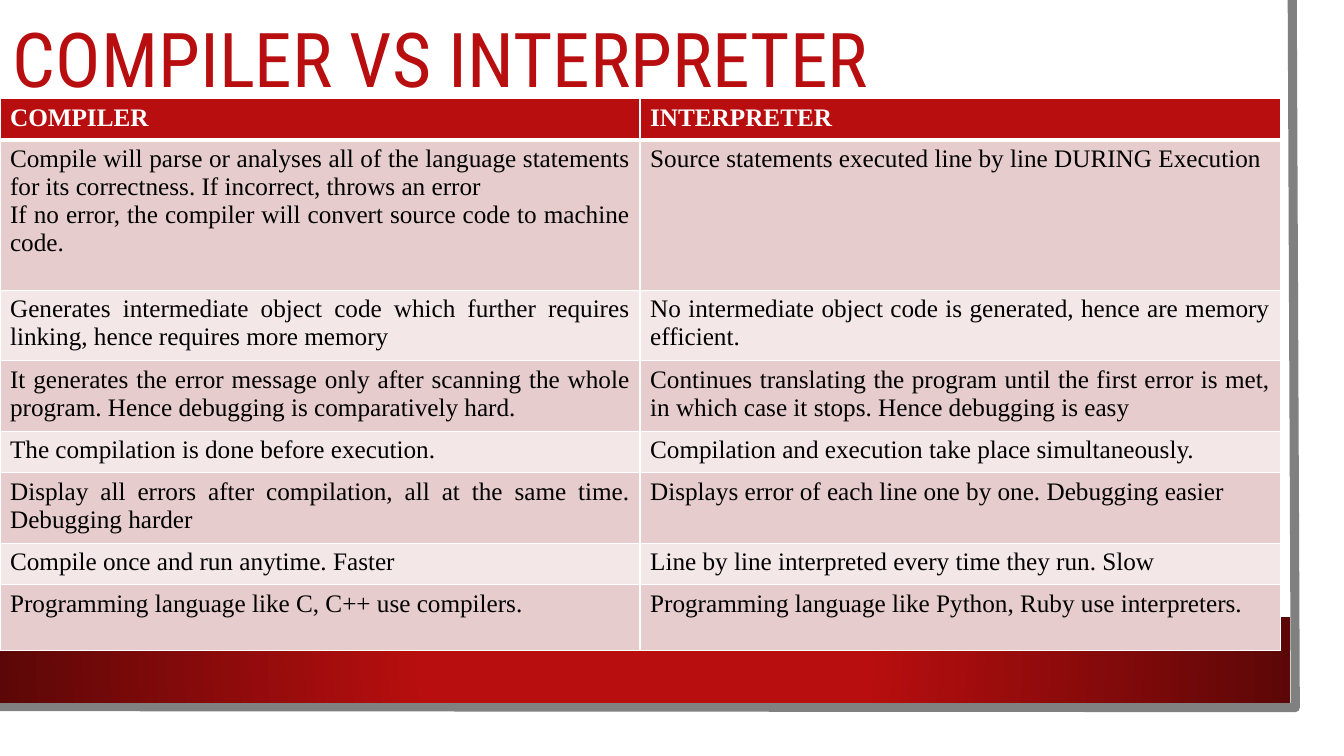
from lxml import etree
from pptx import Presentation, util as u
from pptx.dml.color import RGBColor
from pptx.enum import shapes, text
from pptx.oxml import ns, parse_xml

RED, DARK, GREY, WHITE, BLACK = "B80E0F", "5C0707", "808080", "FFFFFF", "000000"
BANDS = ["E6CCCC", "F3E7E7"]
SERIF, HEAD = "Times New Roman", "Roboto Condensed"
COLS, ROWS = 133.33, 75

TITLE = "COMPILER VS INTERPRETER"
PAIRS = [
    ("COMPILER", "INTERPRETER"),
    ("Compile will parse or analyses all of the language statements for its "
     "correctness. If incorrect, throws an error\n"
     "If no error, the compiler will convert source code to machine code.",
     "Source statements executed line by line DURING Execution"),
    ("Generates intermediate object code which further requires linking, "
     "hence requires more memory",
     "No intermediate object code is generated, hence are memory efficient."),
    ("It generates the error message only after scanning the whole program. "
     "Hence debugging is comparatively hard.",
     "Continues translating the program until the first error is met, "
     "in which case it stops. Hence debugging is easy"),
    ("The compilation is done before execution.",
     "Compilation and execution take place simultaneously."),
    ("Display all errors after compilation, all at the same time. Debugging harder",
     "Displays error of each line one by one. Debugging easier"),
    ("Compile once and run anytime. Faster",
     "Line by line interpreted every time they run. Slow"),
    ("Programming language like C, C++ use compilers.",
     "Programming language like Python, Ruby use interpreters."),
]
HEIGHTS = [4.1, 14.9, 6.5, 6.5, 4.1, 6.5, 4.1, 6.5]


def tint(code):
    return RGBColor.from_string(code)


class Deck:
    """Draws on one slide; lengths are columns and rows of a fine grid."""

    def __init__(self):
        self.prs = Presentation()
        self.prs.slide_width = u.Inches(13.33)
        self.prs.slide_height = u.Inches(7.5)
        self.slide = self.prs.slides.add_slide(self.prs.slide_layouts[6])
        self.items = self.slide.shapes

    def col(self, n):
        return round(self.prs.slide_width * n / COLS)

    def row(self, n):
        return round(self.prs.slide_height * n / ROWS)

    def area(self, x, y, w, h):
        return self.col(x), self.row(y), self.col(w), self.row(h)

    def rect(self, *box):
        shape = self.items.add_shape(shapes.MSO_SHAPE.RECTANGLE, *self.area(*box))
        shape.shadow.inherit = False
        shape.line.fill.background()
        shape.fill.solid()
        shape.fill.fore_color.rgb = tint(WHITE)
        return shape

    def glow(self, shape, stops):
        """Fill a shape with colours that spread from its centre."""
        marks = "".join(f'<a:gs pos="{pos * 1000}"><a:srgbClr val="{code}"/></a:gs>'
                        for pos, code in stops)
        fill = parse_xml(
            f'<a:gradFill {ns.nsdecls("a")} rotWithShape="1"><a:gsLst>{marks}</a:gsLst>'
            '<a:path path="circle"><a:fillToRect l="50000" t="50000" r="50000" b="50000"/>'
            '</a:path></a:gradFill>')
        old = shape.element.spPr.find(ns.qn("a:solidFill"))
        old.getparent().replace(old, fill)

    def trace(self, points, code, width):
        dots = [(self.col(x), self.row(y)) for x, y in points]
        pen = self.items.build_freeform(*dots[0])
        pen.add_line_segments(dots[1:], close=False)
        shape = pen.convert_to_shape()
        shape.shadow.inherit = False
        shape.fill.background()
        shape.line.color.rgb = tint(code)
        shape.line.width = u.Pt(width)

    def say(self, para, words, size, face, code, bold=False):
        run = para.add_run()
        run.text = words
        font = run.font
        font.size, font.name, font.bold = u.Pt(size), face, bold
        font.color.rgb = tint(code)

    def title(self, words, *box):
        frame = self.items.add_textbox(*self.area(*box)).text_frame
        frame.word_wrap = True
        frame.vertical_anchor = text.MSO_ANCHOR.MIDDLE
        para = frame.paragraphs[0]
        para.line_spacing = 0.9
        self.say(para, words, 54, HEAD, RED)

    def edge(self, cell, head):
        props = cell._tc.get_or_add_tcPr()
        for side in "LRTB":
            width = 3 if head and side == "B" else 1
            line = etree.SubElement(props, ns.qn(f"a:ln{side}"), w=str(u.Pt(width)))
            fill = etree.SubElement(line, ns.qn("a:solidFill"))
            etree.SubElement(fill, ns.qn("a:srgbClr"), val=WHITE)

    def cell(self, cell, words, head, back):
        self.edge(cell, head)
        cell.fill.solid()
        cell.fill.fore_color.rgb = tint(back)
        frame = cell.text_frame
        for i, part in enumerate(words.split("\n")):
            para = frame.add_paragraph() if i else frame.paragraphs[0]
            para.alignment = text.PP_ALIGN.JUSTIFY
            self.say(para, part, 18, SERIF, WHITE if head else BLACK, head)

    def table(self, pairs, heights, x, y, w):
        box = self.area(x, y, w, sum(heights))
        grid = self.items.add_table(len(pairs), len(pairs[0]), *box).table
        grid.horz_banding = False
        for r, (pair, high) in enumerate(zip(pairs, heights)):
            grid.rows[r].height = self.row(high)
            back = BANDS[(r - 1) % 2] if r else RED
            for c, words in enumerate(pair):
                self.cell(grid.cell(r, c), words, r == 0, back)


def main():
    deck = Deck()
    deck.rect(0, 0, 131, 72.7)
    deck.trace([(128.2, 0), (128.5, 70.2), (-0.3, 70.1)], GREY, 6.5)
    deck.glow(deck.rect(0, 61.2, 128, 8.5), [(34, RED), (100, DARK)])
    deck.title(TITLE, 0.3, 0, 113.7, 12.6)
    deck.table(PAIRS, HEIGHTS, 0, 9.8, 127)
    deck.prs.save("out.pptx")


if __name__ == "__main__":
    main()
